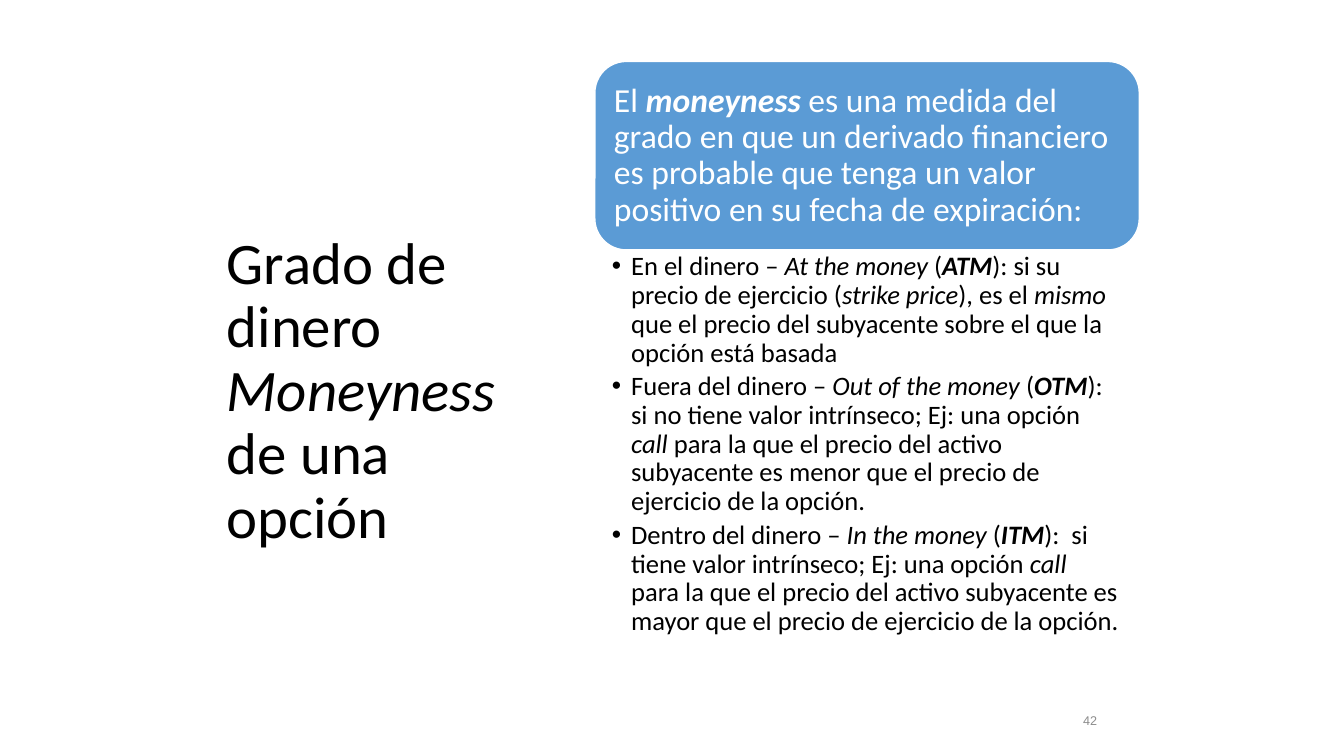
from dataclasses import dataclass

from lxml.etree import SubElement
from pptx import Presentation
from pptx.dml.color import RGBColor as Color
from pptx.enum.shapes import MSO_SHAPE as Shape
from pptx.enum.text import MSO_ANCHOR as Anchor, PP_ALIGN as Align
from pptx.oxml.ns import qn
from pptx.util import Inches, Pt


@dataclass(frozen=True)
class Theme:
    """Colours, fonts and type sizes of the slide."""
    black: str = "000000"
    white: str = "FFFFFF"
    blue: str = "5B9BD5"
    gray: str = "8C8C8C"
    body_font: str = "Calibri"
    number_font: str = "Arial"
    title_size: int = 42
    definition_size: int = 24
    bullet_size: int = 19
    number_size: int = 9


def add_run(paragraph, text, *, font, size, color, bold=False, italic=False):
    """Append formatted text to a paragraph."""
    run = paragraph.add_run()
    run.text = text
    run.font.name = font
    run.font.size = Pt(size)
    run.font.bold = bold
    run.font.italic = italic
    run.font.color.rgb = Color.from_string(color)


def add_bullet(paragraph, indent):
    """Give a paragraph a hanging round bullet."""
    properties = paragraph._p.get_or_add_pPr()
    properties.set("marL", str(Inches(indent)))
    properties.set("indent", str(-Inches(indent)))
    SubElement(properties, qn("a:buFont"), typeface="Arial")
    SubElement(properties, qn("a:buChar"), char="•")


class SlideBuilder:
    """Draws elements on one slide in one theme."""

    def __init__(self, slide, theme):
        """Keep the slide and its theme."""
        self.slide = slide
        self.theme = theme

    def fill_text(self, shape, paragraphs, *, insets=(0.1, 0.05, 0.1, 0.05), anchor=Anchor.MIDDLE,
                  align=Align.LEFT, spacing=0.9, after=0, bullet_indent=None, **run_format):
        """Write paragraphs of (text, style letters) runs into a shape."""
        frame = shape.text_frame
        frame.word_wrap = True
        frame.vertical_anchor = anchor
        frame.margin_left, frame.margin_top, frame.margin_right, frame.margin_bottom = map(Inches, insets)
        for index, runs in enumerate(paragraphs):
            paragraph = frame.add_paragraph() if index else frame.paragraphs[0]
            paragraph.alignment = align
            paragraph.line_spacing = spacing
            paragraph.space_after = Pt(after)
            if bullet_indent:
                add_bullet(paragraph, bullet_indent)
            for text, style in runs:
                add_run(paragraph, text, bold="b" in style, italic="i" in style, **run_format)

    def text_box(self, box, paragraphs, **text_format):
        """Add a text box at (left, top, width, height)."""
        shape = self.slide.shapes.add_textbox(*map(Inches, box))
        self.fill_text(shape, paragraphs, **text_format)

    def rounded_panel(self, box, paragraphs, **text_format):
        """Add a blue rounded panel with text."""
        shape = self.slide.shapes.add_shape(Shape.ROUNDED_RECTANGLE, *map(Inches, box))
        shape.shadow.inherit = False
        shape.fill.solid()
        shape.fill.fore_color.rgb = Color.from_string(self.theme.blue)
        shape.line.color.rgb = Color.from_string(self.theme.white)
        shape.line.width = Pt(1)
        self.fill_text(shape, paragraphs, **text_format)


TITLE = [[("Grado de dinero ", ""), ("Moneyness ", "i"), ("de una opción", "")]]
DEFINITION = [[
    ("El ", ""), ("moneyness ", "bi"),
    ("es una medida del grado en que un derivado financiero es probable que tenga "
     "un valor positivo en su fecha de expiración:", ""),
]]
CASES = [
    [("En el dinero – ", ""), ("At the money ", "i"), ("(", ""), ("ATM", "bi"),
     ("): si su precio de ejercicio (", ""), ("strike price", "i"), ("), es el ", ""), ("mismo", "i"),
     (" que el precio del subyacente sobre el que la opción está basada", "")],
    [("Fuera del dinero – ", ""), ("Out of the money ", "i"), ("(", ""), ("OTM", "bi"),
     ("): si no tiene valor intrínseco; Ej: una opción ", ""), ("call", "i"),
     (" para la que el precio del activo subyacente es menor que el precio de ejercicio de la opción.", "")],
    [("Dentro del dinero – ", ""), ("In the money ", "i"), ("(", ""), ("ITM", "bi"),
     ("):  si tiene valor intrínseco; Ej: una opción ", ""), ("call", "i"),
     (" para la que el precio del activo subyacente es mayor que el precio de ejercicio de la opción.", "")],
]


def main():
    """Build and save the slide."""
    presentation = Presentation()
    presentation.slide_width = Inches(13.33)
    presentation.slide_height = Inches(7.5)
    theme = Theme()
    builder = SlideBuilder(presentation.slides.add_slide(presentation.slide_layouts[6]), theme)

    builder.text_box((2.15, 0.7, 3.12, 5.75), TITLE, insets=(0.1, 0.68, 0.1, 0.05),
                     font=theme.body_font, size=theme.title_size, color=theme.black)
    builder.text_box((8.73, 6.95, 2.25, 0.4), [[("42", "")]], align=Align.RIGHT, spacing=1.0,
                     font=theme.number_font, size=theme.number_size, color=theme.gray)
    builder.rounded_panel((5.9, 0.61, 5.4, 1.87), DEFINITION, insets=(0.1, 0.1, 0.1, 0.1),
                          font=theme.body_font, size=theme.definition_size, color=theme.white)
    builder.text_box((5.9, 2.48, 5.4, 4.02), CASES, insets=(0.17, 0.03, 0.19, 0.03),
                     anchor=Anchor.TOP, after=3.5, bullet_indent=0.19,
                     font=theme.body_font, size=theme.bullet_size, color=theme.black)
    presentation.save("out.pptx")


if __name__ == "__main__":
    main()
